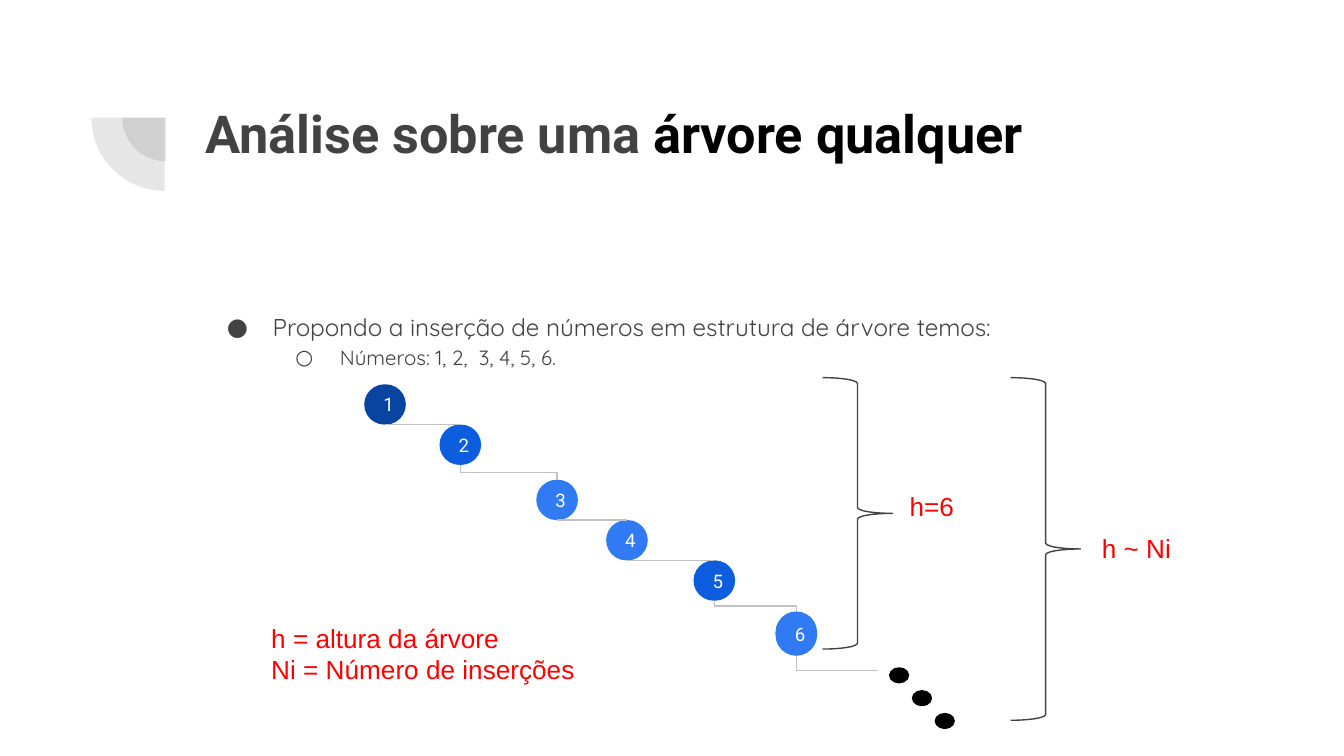
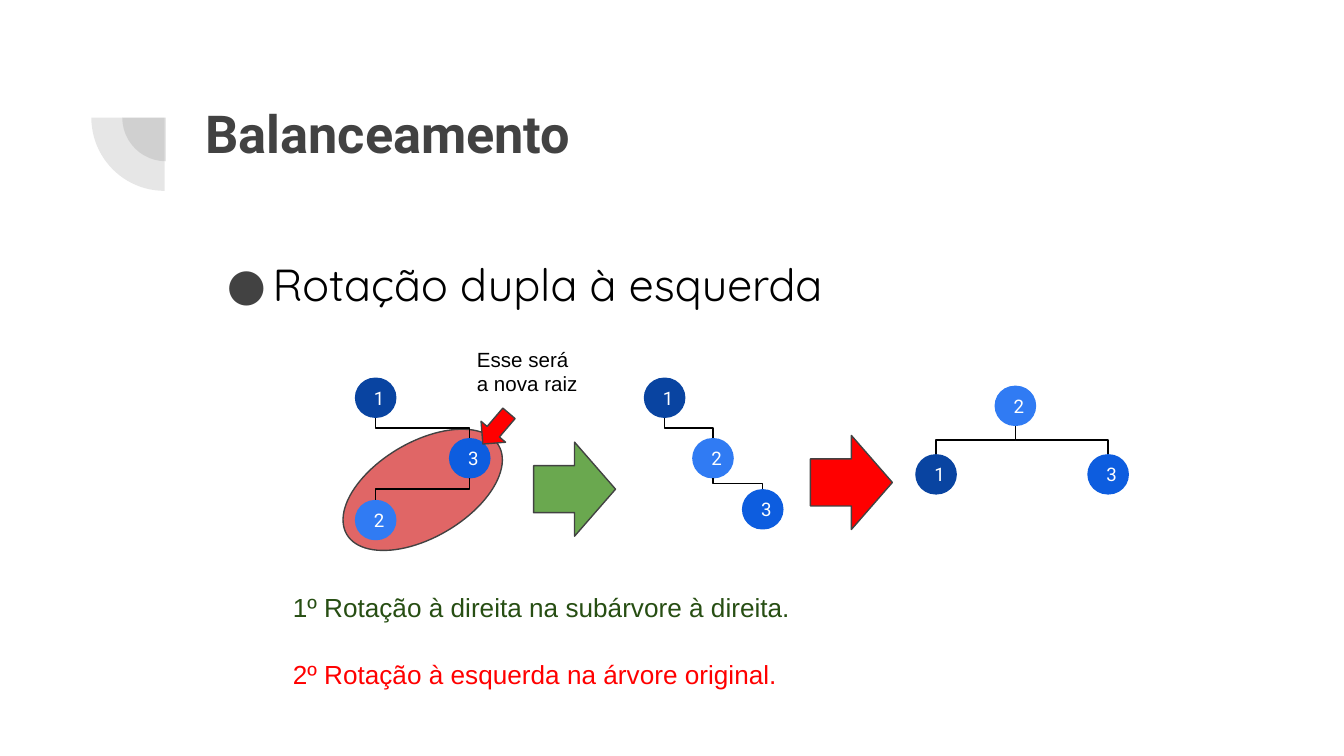
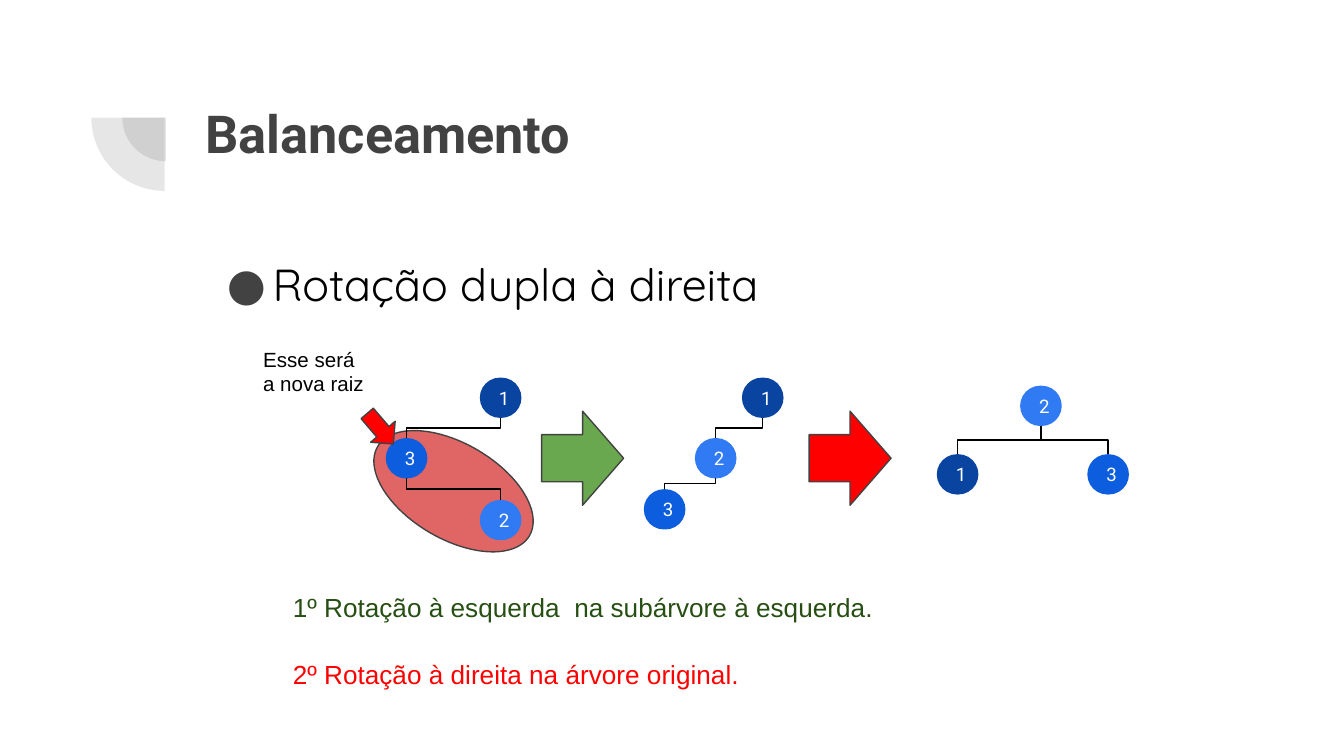
"""Build three slides on binary tree height and double rotations."""
from dataclasses import dataclass
from typing import Optional

from lxml import etree
from pptx import Presentation
from pptx import util as u
from pptx.dml.color import RGBColor
from pptx.enum import shapes, text
from pptx.oxml import ns

Inches = u.Inches
Preset = shapes.MSO_SHAPE
Box = tuple[float, float, float, float]

COLORS = {
    "background": "FFFFFF",
    "gray": "424242",
    "black": "000000",
    "white": "FFFFFF",
    "dark": "0944A1",
    "mid": "0D5DDF",
    "light": "307BF3",
    "edge": "C2C2C2",
    "red": "FF0000",
    "green": "6AA84F",
    "dark_green": "274E13",
    "subtree": "E06666",
}
NODE_SIZE = 0.31
LINE_WIDTH = u.Pt(0.75)
TOP, BOTTOM = 0, 2


@dataclass(frozen=True)
class Node:
    """A numbered tree node."""
    label: str
    left: float
    top: float
    color: str
    height: float = 0.3

    @property
    def center(self) -> float:
        """Give the horizontal middle."""
        return self.left + NODE_SIZE / 2

    @property
    def bottom(self) -> float:
        """Give the lower edge."""
        return self.top + self.height


@dataclass(frozen=True)
class Tree:
    """Nodes with the parent and child labels of each edge."""
    nodes: tuple[Node, ...]
    edges: tuple[str, ...]


@dataclass(frozen=True)
class Bullet:
    """A bulleted line of a slide body."""
    words: str
    size: float
    color: str
    mark: str = "●"
    level: int = 0
    margin: float = 0.5
    indent: float = -0.34


@dataclass(frozen=True)
class Rotation:
    """The content of one double rotation slide."""
    heading: str
    subtree: Box
    subtree_angle: float
    pointer_left: float
    pointer_angle: float
    note_left: float
    first_arrow: tuple[float, float]
    second_arrow: tuple[float, float]
    trees: tuple[Tree, ...]
    steps: tuple[str, str]


def rgb(color: str) -> RGBColor:
    """Look up a named colour."""
    return RGBColor.from_string(COLORS[color])


def style(run, size: float, color: str, font: str = "Arial", bold: bool = False) -> None:
    """Format a run."""
    run.font.size = u.Pt(size)
    run.font.name = font
    run.font.bold = bold
    run.font.color.rgb = rgb(color)


def add_figure(slide, preset, box: Box, fill: Optional[str] = None,
               line: Optional[str] = None, angle: float = 0):
    """Draw a preset shape."""
    figure = slide.shapes.add_shape(preset, *map(Inches, box))
    figure.shadow.inherit = False
    figure.rotation = angle
    if fill:
        figure.fill.solid()
        figure.fill.fore_color.rgb = rgb(fill)
    else:
        figure.fill.background()
    if line:
        figure.line.color.rgb = rgb(line)
        figure.line.width = LINE_WIDTH
    else:
        figure.line.fill.background()
    return figure


def set_frame(frame) -> None:
    """Wrap the text and set equal margins."""
    frame.word_wrap = True
    frame.margin_left = frame.margin_right = Inches(0.1)
    frame.margin_top = frame.margin_bottom = Inches(0.1)


def add_label(slide, box: Box, words: str, size: float, color: str,
              font: str = "Arial", bold: bool = False):
    """Write a text box and return its frame."""
    frame = slide.shapes.add_textbox(*map(Inches, box)).text_frame
    set_frame(frame)
    frame.text = words
    for paragraph in frame.paragraphs:
        for run in paragraph.runs:
            style(run, size, color, font, bold)
    return frame


def add_bullets(slide, box: Box, bullets: tuple[Bullet, ...]) -> None:
    """Write the bulleted body."""
    frame = add_label(slide, box, "\n".join(b.words for b in bullets), 13, "gray")
    for paragraph, bullet in zip(frame.paragraphs, bullets):
        style(paragraph.runs[0], bullet.size, bullet.color, "Quicksand")
        paragraph.level = bullet.level
        paragraph.line_spacing = 1.15
        props = paragraph._p.get_or_add_pPr()
        props.set("marL", str(Inches(bullet.margin)))
        props.set("indent", str(Inches(bullet.indent)))
        tint = etree.SubElement(props, ns.qn("a:buClr"))
        etree.SubElement(tint, ns.qn("a:srgbClr"), val=COLORS["gray"])
        etree.SubElement(props, ns.qn("a:buFont"), typeface="Quicksand")
        etree.SubElement(props, ns.qn("a:buChar"), char=bullet.mark)


def add_base(deck, title: str, highlight: str = ""):
    """Add a slide with the corner ornament and its title."""
    slide = deck.slides.add_slide(deck.slide_layouts[6])
    slide.background.fill.solid()
    slide.background.fill.fore_color.rgb = rgb("background")
    for left, top, size in ((0.91, 0.55, 0.65), (0.68, 0.33, 1.09)):
        quadrant = add_figure(slide, Preset.PIE, (left, top, size, size), "gray", angle=270)
        quadrant.adjustments[0] = 108
        quadrant.adjustments[1] = 162
        tint = quadrant._element.spPr.find(".//" + ns.qn("a:srgbClr"))
        etree.SubElement(tint, ns.qn("a:alpha"), val="13000")
    frame = add_label(slide, (1.43, 0.65, 7.69, 1.09), title, 28, "gray", "Roboto", True)
    if highlight:
        ending = frame.paragraphs[0].add_run()
        ending.text = highlight
        style(ending, 28, "black", "Roboto", True)
    return slide


def add_node(slide, node: Node):
    """Draw a numbered node."""
    box = (node.left, node.top, NODE_SIZE, node.height)
    disc = add_figure(slide, Preset.ROUNDED_RECTANGLE, box, node.color)
    disc.adjustments[0] = 0.5
    frame = disc.text_frame
    set_frame(frame)
    frame.vertical_anchor = text.MSO_ANCHOR.MIDDLE
    frame.text = node.label
    frame.paragraphs[0].alignment = text.PP_ALIGN.CENTER
    style(frame.paragraphs[0].runs[0], 10, "white", "Roboto")
    return disc


def add_branch(slide, start: tuple[float, float], end: tuple[float, float],
               color: str, parent, child=None) -> None:
    """Run a line down from a parent to its child or to an open end."""
    (x1, y1), (x2, y2) = start, end
    width, drop = abs(x2 - x1), y2 - y1
    flat = drop < 0.02
    kind = shapes.MSO_CONNECTOR.STRAIGHT if flat else shapes.MSO_CONNECTOR.ELBOW
    branch = slide.shapes.add_connector(kind, *map(Inches, (x1, y1, x2, y2)))
    branch.line.color.rgb = rgb(color)
    branch.line.width = LINE_WIDTH
    branch.begin_connect(parent, BOTTOM)
    if child is not None:
        branch.end_connect(child, TOP)
    props = branch._element.spPr
    etree.SubElement(props, ns.qn("a:effectLst"))
    if flat:
        return
    branch.left = Inches((x1 + x2 - drop) / 2)
    branch.top = Inches((y1 + y2 - width) / 2)
    branch.width, branch.height = Inches(drop), Inches(width)
    rightward = x2 > x1
    props.xfrm.rot = 270 if rightward else 90
    props.xfrm.flipH = rightward
    props.xfrm.flipV = False
    if child is None:
        props.find(ns.qn("a:prstGeom")).set("prst", "bentConnector2")


def add_tree(slide, tree: Tree, color: str) -> dict:
    """Draw a tree and return its discs by label."""
    nodes = {node.label: node for node in tree.nodes}
    discs = {node.label: add_node(slide, node) for node in tree.nodes}
    for upper, lower in tree.edges:
        parent, child = nodes[upper], nodes[lower]
        add_branch(slide, (parent.center, parent.bottom), (child.center, child.top),
                   color, discs[upper], discs[lower])
    return discs


def trio(one: tuple[float, float], two: tuple[float, float],
         three: tuple[float, float], *edges: str) -> Tree:
    """Make a tree of the nodes 1, 2 and 3."""
    return Tree((Node("1", *one, "dark"), Node("3", *three, "mid"),
                 Node("2", *two, "light")), edges)


CHAIN = Tree((
    Node("1", 2.71, 2.86, "dark"),
    Node("2", 3.27, 3.16, "mid"),
    Node("3", 3.99, 3.57, "light"),
    Node("4", 4.51, 3.87, "light"),
    Node("5", 5.16, 4.17, "mid"),
    Node("6", 5.77, 4.55, "light", 0.33),
), ("12", "23", "34", "45", "56"))

ROTATIONS = (
    Rotation(
        "Rotação dupla à esquerda", (2.79, 2.99, 0.71, 1.31), 59.6,
        3.57, 40.5, 3.45, (3.97, 3.29), (6.03, 3.24),
        (trio((2.64, 2.81), (2.64, 3.72), (3.34, 3.26), "13", "32"),
         trio((4.79, 2.81), (5.15, 3.26), (5.52, 3.64), "12", "23"),
         trio((6.81, 3.38), (7.4, 2.87), (8.09, 3.38), "21", "23")),
        ("1º Rotação à direita na subárvore à direita.",
         "2º Rotação à esquerda na árvore original."),
    ),
    Rotation(
        "Rotação dupla à direita", (3.02, 3, 0.71, 1.31), 300.4,
        2.71, 319.5, 1.86, (4.03, 3.06), (6.02, 3.06),
        (trio((3.57, 2.81), (3.57, 3.72), (2.87, 3.26), "13", "32"),
         trio((5.52, 2.81), (5.17, 3.26), (4.79, 3.64), "12", "23"),
         trio((6.97, 3.38), (7.59, 2.87), (8.09, 3.38), "21", "23")),
        ("1º Rotação à esquerda  na subárvore à esquerda.",
         "2º Rotação à direita na árvore original."),
    ),
)


def add_height_slide(deck) -> None:
    """Show the height of a tree that grows to one side."""
    slide = add_base(deck, "Análise sobre uma ", "árvore qualquer")
    add_bullets(slide, (1.43, 2.19, 7.69, 2.78), (
        Bullet("Propondo a inserção de números em estrutura de árvore temos:", 13, "gray"),
        Bullet("Números: 1, 2,  3, 4, 5, 6.", 11, "gray", "○", 1, 1, -0.33),
    ))
    discs = add_tree(slide, CHAIN, "edge")
    last = CHAIN.nodes[-1]
    add_branch(slide, (last.center, last.bottom), (6.53, 4.99), "edge", discs[last.label])
    for step in range(3):
        dot = (6.62 + step * 0.17, 4.97 + step * 0.17, 0.14, 0.11)
        add_figure(slide, Preset.OVAL, dot, "black", "black")
    for left, height in ((6.12, 2.02), (7.52, 2.55)):
        add_figure(slide, Preset.RIGHT_BRACE, (left, 2.81, 0.52, height), line="gray")
    for box, words in (
        ((6.67, 3.55, 0.71, 0.33), "h=6"),
        ((8.1, 3.86, 0.87, 0.33), "h ~ Ni"),
        ((1.92, 4.53, 2.9, 0.72), "h = altura da árvore\nNi = Número de inserções"),
    ):
        add_label(slide, box, words, 14, "red")


def add_rotation_slide(deck, rotation: Rotation) -> None:
    """Show the two steps of a double rotation."""
    slide = add_base(deck, "Balanceamento")
    add_figure(slide, Preset.OVAL, rotation.subtree, "subtree", "gray", rotation.subtree_angle)
    add_bullets(slide, (1.43, 1.75, 7.69, 3.21), (Bullet(rotation.heading, 24, "black"),))
    for place, color in ((rotation.first_arrow, "green"), (rotation.second_arrow, "red")):
        add_figure(slide, Preset.RIGHT_ARROW, (*place, 0.61, 0.7), color, "gray")
    for tree in rotation.trees:
        add_tree(slide, tree, "black")
    add_figure(slide, Preset.DOWN_ARROW, (rotation.pointer_left, 3.04, 0.24, 0.3),
               "red", "gray", rotation.pointer_angle)
    add_label(slide, (rotation.note_left, 2.48, 1.13, 0.52),
              "Esse será\na nova raiz", 11, "black")
    for row, (words, color) in enumerate(zip(rotation.steps, ("dark_green", "red"))):
        add_label(slide, (2.08, 4.3 + row * 0.5, 5.91, 0.39), words, 14, color)


def main() -> None:
    """Build and save the deck."""
    deck = Presentation()
    deck.slide_width = Inches(10)
    deck.slide_height = Inches(10) * 9 // 16
    add_height_slide(deck)
    for rotation in ROTATIONS:
        add_rotation_slide(deck, rotation)
    deck.save("out.pptx")


if __name__ == "__main__":
    main()
